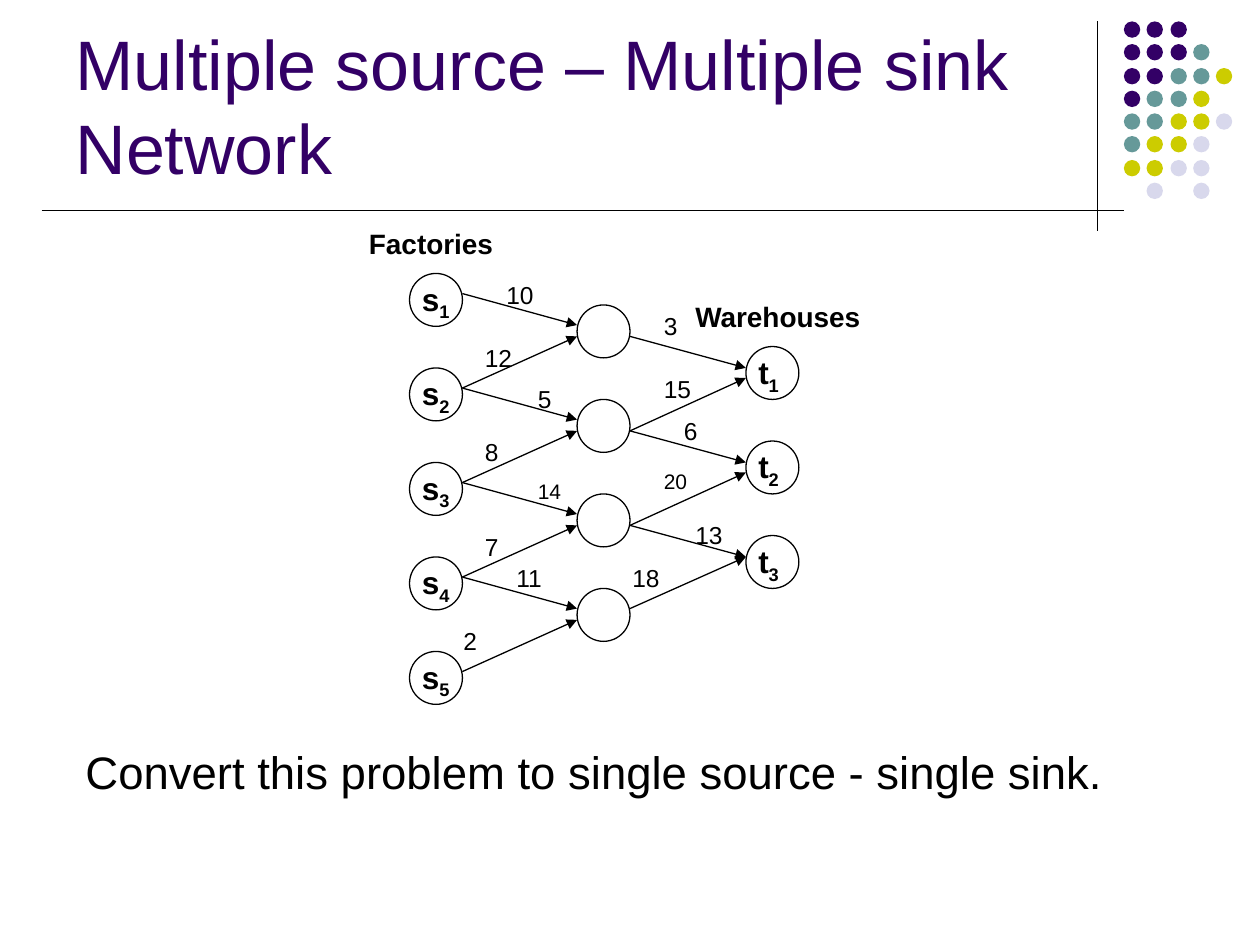
"""Build a slide of a flow network with many sources and many sinks."""
import dataclasses
import typing

import lxml.etree
import pptx
import pptx.dml.color
import pptx.enum.shapes
import pptx.enum.text
import pptx.oxml.ns
import pptx.util

RGB = pptx.dml.color.RGBColor
BLACK = RGB(0x00, 0x00, 0x00)
WHITE = RGB(0xFF, 0xFF, 0xFF)
PURPLE = RGB(0x33, 0x00, 0x66)
TEAL = RGB(0x66, 0x99, 0x99)
LIME = RGB(0xCC, 0xCC, 0x00)
PALE = RGB(0xD8, 0xD8, 0xEC)
DOTS = {"P": PURPLE, "T": TEAL, "L": LIME, "W": PALE}
ROWS = ("PPP", "PPPT", "PPTTL", "PTTL", "TTLLW", "TLLW", "LLWW", " W W")

FONT = "Arial"
UNIT = 1 / 12
SIZE = 5
STEP = 9


@dataclasses.dataclass(frozen=True)
class Layer:
    """A column of nodes, placed in grid units."""
    name: str
    left: int
    top: int
    count: int


@dataclasses.dataclass(frozen=True)
class Edge:
    """An arrow to the next layer, with its capacity label in grid units."""
    layer: int
    start: int
    end: int
    text: str
    left: int
    top: int
    width: int
    size: int = 14
    lift: int = 0


@dataclasses.dataclass(frozen=True)
class Head:
    """A heading placed in grid units."""
    text: str
    left: int
    top: int


LAYERS = (Layer("s", 39, 26, 5), Layer("", 55, 29, 4), Layer("t", 71, 33, 3))
EDGES = (
    Edge(0, 0, 0, "10", 47, 26, 7),
    Edge(0, 1, 0, "12", 45, 32, 8),
    Edge(0, 1, 1, "5", 50, 36, 4),
    Edge(0, 2, 1, "8", 45, 41, 10),
    Edge(0, 2, 2, "14", 50, 45, 9, 12),
    Edge(0, 3, 2, "7", 45, 50, 4),
    Edge(0, 3, 3, "11", 48, 53, 8),
    Edge(0, 4, 3, "2", 43, 59, 14),
    Edge(1, 0, 0, "3", 62, 29, 8),
    Edge(1, 1, 0, "15", 62, 35, 6),
    Edge(1, 1, 1, "6", 64, 39, 9),
    Edge(1, 2, 1, "20", 62, 44, 15, 12),
    Edge(1, 2, 2, "13", 65, 49, 9),
    Edge(1, 3, 2, "18", 59, 53, 20, lift=1),
)
HEADS = (Head("Factories", 34, 21), Head("Warehouses", 65, 28))


def inch(value: float) -> int:
    return pptx.util.Inches(round(value, 2))


def write(para: typing.Any, text: str, size: float, color: RGB = BLACK,
          bold: bool = False, sub: bool = False) -> None:
    run = para.add_run()
    run.text = text
    run.font.name = FONT
    run.font.size = pptx.util.Pt(size)
    run.font.bold = bold
    run.font.color.rgb = color
    if sub:
        run.font._element.set("baseline", "-25000")


def label(shapes: typing.Any, left: float, top: float, width: float,
          size: float, high: float = 0) -> typing.Any:
    high = high or size * 0.017 + 0.1
    box = shapes.add_textbox(inch(left), inch(top), inch(width), inch(high))
    box.text_frame.word_wrap = True
    return box.text_frame.paragraphs[0]


def disc(shapes: typing.Any, left: float, top: float, size: float,
         fill: RGB, line: bool = False) -> None:
    shape = shapes.add_shape(pptx.enum.shapes.MSO_SHAPE.OVAL, inch(left),
                             inch(top), inch(size), inch(size))
    shape.shadow.inherit = False
    shape.fill.solid()
    shape.fill.fore_color.rgb = fill
    if line:
        shape.line.color.rgb = BLACK
        shape.line.width = pptx.util.Pt(0.74)
    else:
        shape.line.fill.background()


def rule(shapes: typing.Any, x1: float, y1: float, x2: float, y2: float,
         arrow: bool = False) -> None:
    line = shapes.add_connector(pptx.enum.shapes.MSO_CONNECTOR.STRAIGHT,
                                inch(x1), inch(y1), inch(x2), inch(y2))
    line.line.color.rgb = BLACK
    line.line.width = pptx.util.Pt(0.74)
    qn = pptx.oxml.ns.qn
    if arrow:
        lxml.etree.SubElement(line.line._get_or_add_ln(), qn("a:tailEnd"),
                              type="triangle")
    lxml.etree.SubElement(line._element.spPr, qn("a:effectLst"))


def frame(slide: typing.Any) -> None:
    rule(slide.shapes, 8.71, 0.17, 8.71, 1.83)
    rule(slide.shapes, 0.33, 1.67, 8.92, 1.67)
    group = slide.shapes.add_group_shape().shapes
    for row, marks in enumerate(ROWS):
        for col, mark in enumerate(marks):
            if mark in DOTS:
                disc(group, 8.92 + col * 0.183, 0.17 + row * 0.183, 0.13,
                     DOTS[mark])


def nodes(shapes: typing.Any) -> None:
    for layer in LAYERS:
        for row in range(layer.count):
            left, top = layer.left * UNIT, (layer.top + row * STEP) * UNIT
            disc(shapes, left, top, SIZE * UNIT, WHITE, True)
            if layer.name:
                para = label(shapes, left, top, 8 * UNIT, 18, 0.44)
                write(para, layer.name, 18, bold=True)
                write(para, str(row + 1), 18, bold=True, sub=True)


def edges(shapes: typing.Any) -> None:
    for edge in EDGES:
        tail, head = LAYERS[edge.layer], LAYERS[edge.layer + 1]
        rise = edge.end < edge.start
        y1 = tail.top + edge.start * STEP + 2 + edge.layer - edge.lift
        y2 = head.top + edge.end * STEP + 2 + rise - edge.lift
        rule(shapes, (tail.left + SIZE) * UNIT, y1 * UNIT,
             head.left * UNIT, y2 * UNIT, True)
        para = label(shapes, edge.left * UNIT, edge.top * UNIT,
                     edge.width * UNIT, edge.size)
        write(para, edge.text, edge.size)


def main() -> None:
    deck = pptx.Presentation()
    deck.slide_width, deck.slide_height = inch(10), inch(7.5)
    slide = deck.slides.add_slide(deck.slide_layouts[5])
    frame(slide)

    title = slide.shapes.title
    title.left, title.top = inch(0.5), inch(0.13)
    title.width, title.height = inch(8.25), inch(1.42)
    text = title.text_frame
    text.word_wrap = True
    text.auto_size = pptx.enum.text.MSO_AUTO_SIZE.NONE
    text.vertical_anchor = pptx.enum.text.MSO_ANCHOR.BOTTOM
    para = text.paragraphs[0]
    para.alignment = pptx.enum.text.PP_ALIGN.LEFT
    write(para, "Multiple source \u2013 Multiple sink Network", 40, PURPLE)

    para = label(slide.shapes, 0.58, 5.86, 8.92, 26, 0.76)
    write(para, "Convert this problem to single source - single sink.", 26)

    net = slide.shapes.add_group_shape().shapes
    nodes(net)
    edges(net)
    for head in HEADS:
        para = label(net, head.left * UNIT, head.top * UNIT, 26 * UNIT, 16)
        write(para, head.text, 16, bold=True)
    deck.save("out.pptx")


main()
